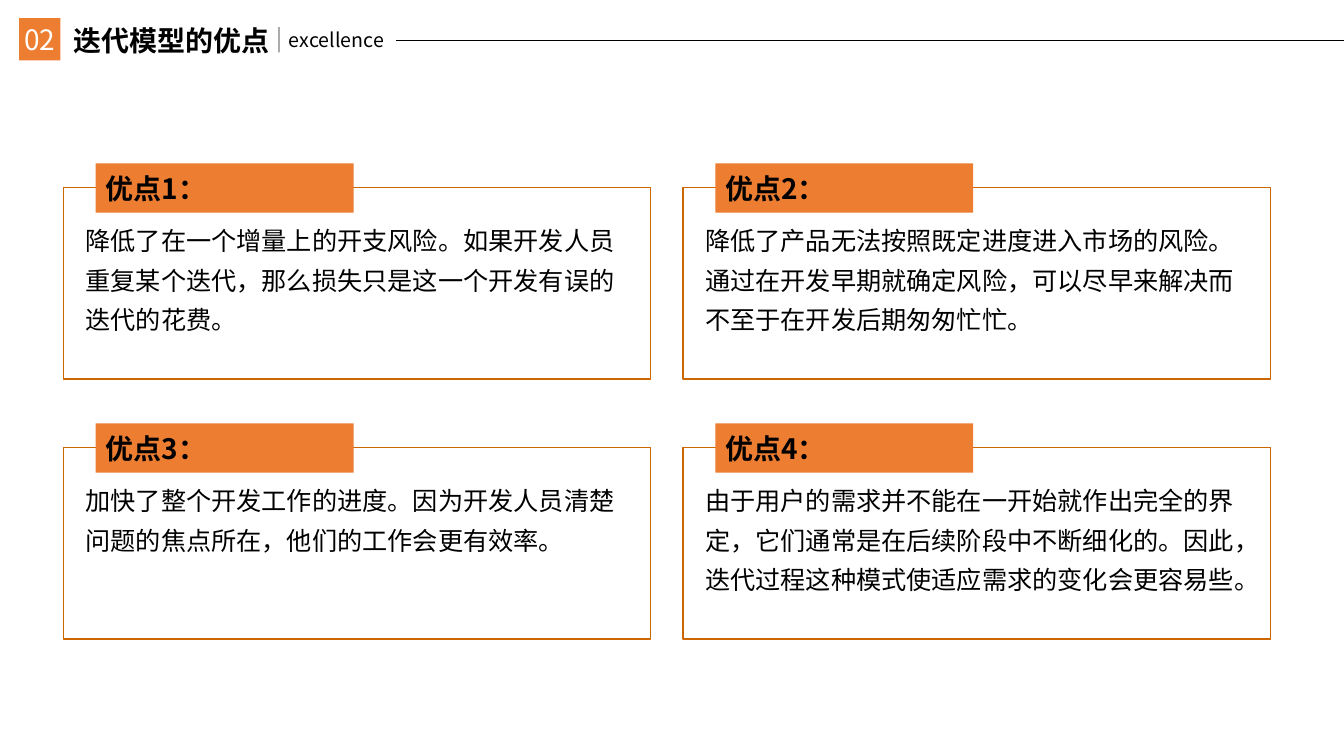
import pptx
import pptx.util
import pptx.dml.color
import pptx.enum.shapes
import pptx.enum.text
import pptx.oxml
import pptx.oxml.ns
from dataclasses import dataclass

SECTION_NUMBER = "02"
TITLE = "迭代模型的优点"
SUBTITLE = "excellence"
ADVANTAGES = [
    ("优点1：", "降低了在一个增量上的开支风险。如果开发人员重复某个迭代，那么损失只是这一个开发有误的迭代的花费。"),
    ("优点2：", "降低了产品无法按照既定进度进入市场的风险。通过在开发早期就确定风险，可以尽早来解决而不至于在开发后期匆匆忙忙。"),
    ("优点3：", "加快了整个开发工作的进度。因为开发人员清楚问题的焦点所在，他们的工作会更有效率。"),
    ("优点4：", "由于用户的需求并不能在一开始就作出完全的界定，它们通常是在后续阶段中不断细化的。因此，迭代过程这种模式使适应需求的变化会更容易些。"),
]


@dataclass(frozen=True)
class Theme:
    font: str = "Noto Sans CJK SC"
    accent: str = "ED7D31"
    border: str = "CC6600"
    ink: str = "000000"
    paper: str = "FFFFFF"
    heading_size: float = 20
    body_size: float = 18
    subtitle_size: float = 14


THEME = Theme()
SLIDE_WIDTH, SLIDE_HEIGHT = 13.34, 7.5
GRID = {"left": 0.63, "top": 1.86, "columns": 2, "column_step": 6.15, "row_step": 2.58}
FRAME_SIZE = (5.83, 1.9)
TAB_OFFSET, TAB_SIZE = (0.32, -0.24), (2.56, 0.49)
BODY_OFFSET, BODY_SIZE = (0.12, 0.24), (5.58, 1.27)
RULE_Y = 0.4

ALIGN = pptx.enum.text.PP_ALIGN
ANCHOR = pptx.enum.text.MSO_ANCHOR
INCHES = pptx.util.Inches


def color(value):
    return pptx.dml.color.RGBColor.from_string(value)


def apply(target, values):
    for name, value in values.items():
        setattr(target, name, value)


def write(shape, text, size, ink=THEME.ink, bold=False, spacing=1.0,
          align=ALIGN.LEFT, anchor=ANCHOR.TOP, wrap=True, side=0.1):
    frame = shape.text_frame
    apply(frame, {
        "word_wrap": wrap,
        "auto_size": pptx.enum.text.MSO_AUTO_SIZE.NONE,
        "vertical_anchor": anchor,
        "margin_left": INCHES(side),
        "margin_right": INCHES(side),
        "margin_top": INCHES(0.05),
        "margin_bottom": INCHES(0.05),
    })
    paragraph = frame.paragraphs[0]
    apply(paragraph, {"alignment": align, "line_spacing": spacing})
    run = paragraph.add_run()
    run.text = text
    apply(run.font, {"name": THEME.font, "size": pptx.util.Pt(size), "bold": bold})
    run.font.color.rgb = color(ink)
    east_asian = pptx.oxml.ns.qn("a:ea")
    run.font._element.makeelement(east_asian)
    latin = run.font._element.find(pptx.oxml.ns.qn("a:latin"))
    latin.addnext(latin.makeelement(east_asian, {"typeface": THEME.font}))


def add_rectangle(slide, box, fill=None, line=None):
    shape = slide.shapes.add_shape(
        pptx.enum.shapes.MSO_SHAPE.RECTANGLE, *map(INCHES, box))
    shape.shadow.inherit = False
    if fill:
        shape.fill.solid()
        shape.fill.fore_color.rgb = color(fill)
    else:
        shape.fill.background()
    if line:
        shape.line.color.rgb = color(line)
        shape.line.width = pptx.util.Pt(1)
    else:
        shape.line.fill.background()
    return shape


def add_text(slide, box, text, size, **options):
    write(slide.shapes.add_textbox(*map(INCHES, box)), text, size, **options)


def add_rule(slide, start, end, width, opacity=None):
    rule = slide.shapes.add_connector(
        pptx.enum.shapes.MSO_CONNECTOR.STRAIGHT, *map(INCHES, start + end))
    rule.line.color.rgb = color(THEME.ink)
    rule.line.width = pptx.util.Pt(width)
    properties = rule._element.spPr
    properties.append(properties.makeelement(pptx.oxml.ns.qn("a:effectLst")))
    if opacity:
        fill_color = properties.find(".//" + pptx.oxml.ns.qn("a:srgbClr"))
        fill_color.append(fill_color.makeelement(
            pptx.oxml.ns.qn("a:alpha"), {"val": str(opacity * 1000)}))


def add_header(slide):
    title = slide.shapes.title
    apply(title, dict(zip(("left", "top", "width", "height"),
                          map(INCHES, (0.63, 0.18, 2.33, 0.44)))))
    write(title, TITLE, THEME.heading_size, bold=True, anchor=ANCHOR.MIDDLE)
    add_text(slide, (2.77, 0.23, 1.15, 0.34), SUBTITLE, THEME.subtitle_size, wrap=False)
    badge = add_rectangle(slide, (0.19, 0.18, 0.41, 0.42), fill=THEME.accent)
    write(badge, SECTION_NUMBER, THEME.heading_size, ink=THEME.paper,
          align=ALIGN.CENTER, anchor=ANCHOR.MIDDLE, side=0)
    add_rule(slide, (3.93, RULE_Y), (SLIDE_WIDTH, RULE_Y), 0.5)
    add_rule(slide, (2.77, 0.27), (2.77, 0.52), 1, opacity=49)


def add_card(slide, index, label, body):
    row, column = divmod(index, GRID["columns"])
    left = GRID["left"] + column * GRID["column_step"]
    top = GRID["top"] + row * GRID["row_step"]

    def place(offset, size):
        return (left + offset[0], top + offset[1]) + size

    add_text(slide, place(BODY_OFFSET, BODY_SIZE), body, THEME.body_size, spacing=1.3)
    add_rectangle(slide, place((0, 0), FRAME_SIZE), line=THEME.border)
    tab = add_rectangle(slide, place(TAB_OFFSET, TAB_SIZE), fill=THEME.accent)
    write(tab, label, THEME.heading_size, bold=True, anchor=ANCHOR.MIDDLE)


def main():
    presentation = pptx.Presentation()
    apply(presentation, {"slide_width": INCHES(SLIDE_WIDTH),
                         "slide_height": INCHES(SLIDE_HEIGHT)})
    slide = presentation.slides.add_slide(
        presentation.slide_layouts.get_by_name("Title Only"))
    add_header(slide)
    for index, (label, body) in enumerate(ADVANTAGES):
        add_card(slide, index, label, body)
    presentation.save("out.pptx")


if __name__ == "__main__":
    main()
